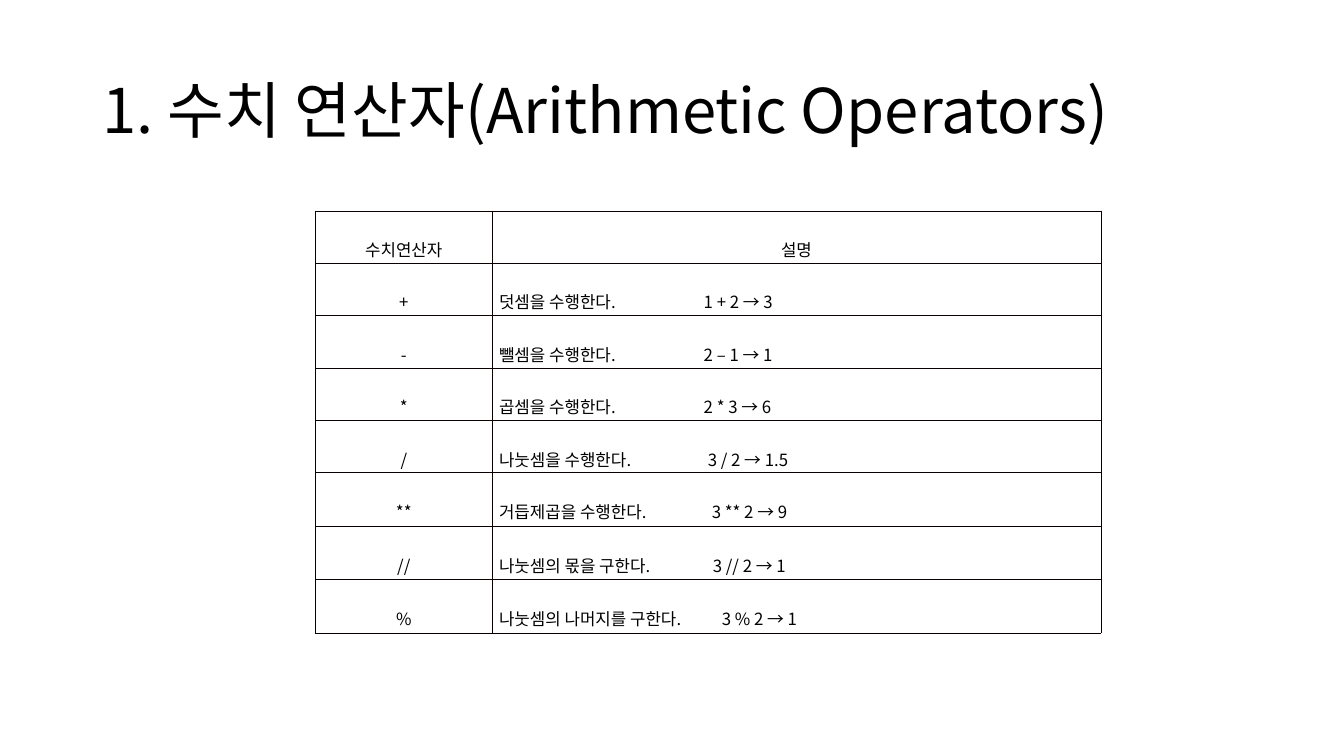
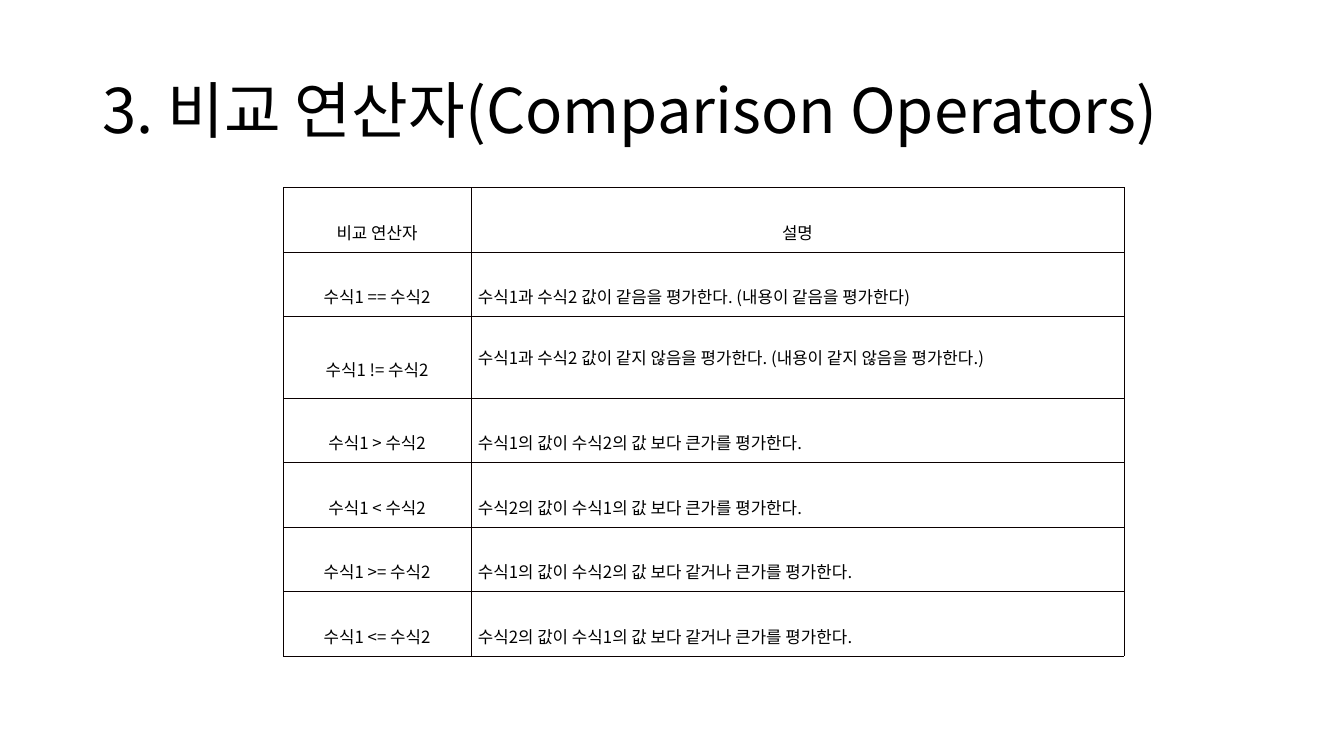
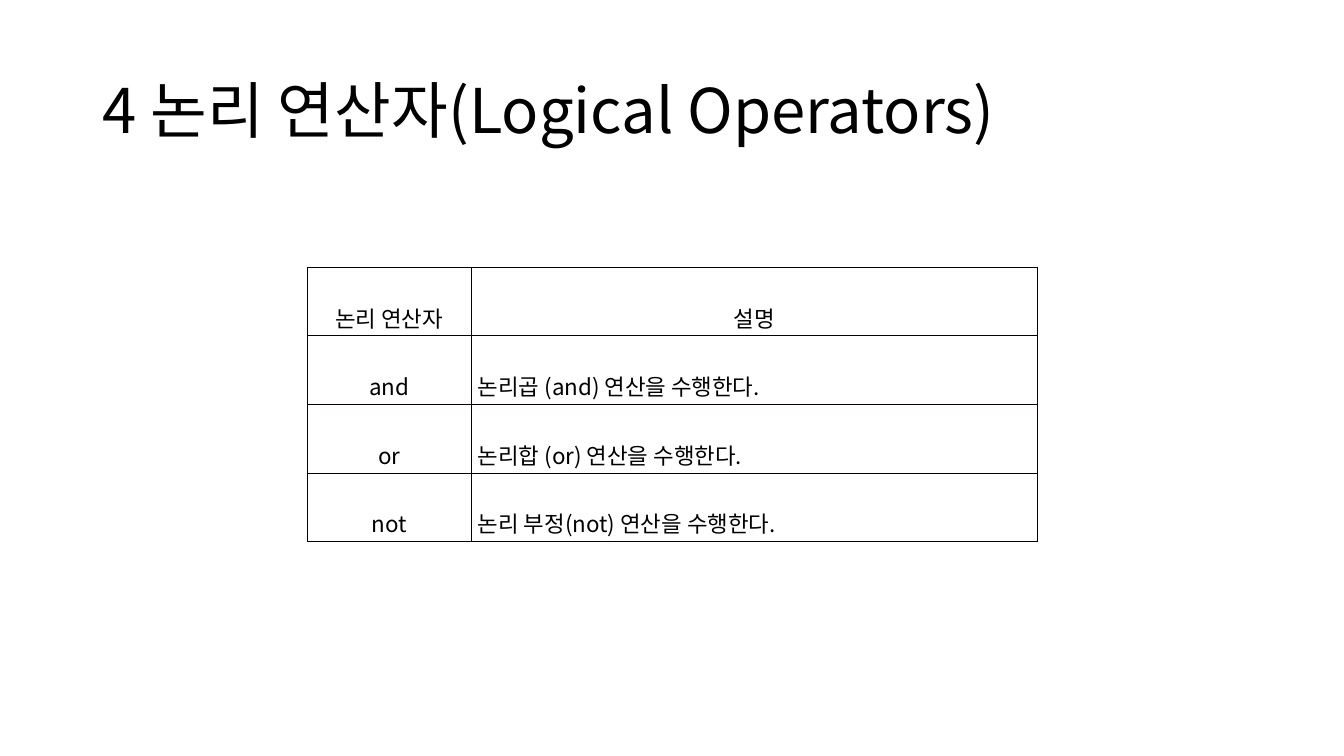
"""Build three slides that tabulate Python operators."""
from dataclasses import dataclass

from lxml import etree
from pptx import Presentation, util as u
from pptx.dml.color import RGBColor
from pptx.enum import text
from pptx.oxml import ns


@dataclass(frozen=True)
class Theme:
    """Colours, font and type sizes shared by the slides."""
    font: str = "Noto Sans CJK KR"
    ink: str = "000000"
    paper: str = "FFFFFF"
    rule: str = "0A0000"
    rule_width: float = 0.28
    title_size: int = 44
    table_size: int = 12
    large_table_size: int = 16


@dataclass(frozen=True)
class Entry:
    """One table row: operator, description and description layout."""
    operator: str
    description: str
    spacing: float = 2.0
    example_tab: float = 0.0


@dataclass(frozen=True)
class OperatorSlide:
    """Title and operator table of one slide."""
    title: str
    left: float
    top: float
    columns: tuple[float, float]
    row_heights: list[float]
    size: int
    entries: list[Entry]


THEME = Theme()
CENTER, JUSTIFY = text.PP_ALIGN.CENTER, text.PP_ALIGN.JUSTIFY
CELL_FORMAT = {
    "margin_left": u.Inches(0.07), "margin_right": u.Inches(0.07),
    "margin_top": u.Inches(0.02), "margin_bottom": u.Inches(0.02),
    "vertical_anchor": text.MSO_ANCHOR.MIDDLE,
}

SLIDES = [
    OperatorSlide(
        "1. 수치 연산자(Arithmetic Operators)", 3.13, 2.09, (1.75, 6.04),
        [0.52] * 5 + [0.53] * 3, THEME.table_size,
        [
            Entry("수치연산자", "설명"),
            Entry("+", "덧셈을 수행한다.\t1 + 2 → 3", example_tab=2.03),
            Entry("-", "뺄셈을 수행한다.\t2 – 1 → 1", example_tab=2.03),
            Entry("*", "곱셈을 수행한다.\t2 * 3 → 6", example_tab=2.03),
            Entry("/", "나눗셈을 수행한다.\t3 / 2 → 1.5", example_tab=2.07),
            Entry("**", "거듭제곱을 수행한다.\t3 ** 2 → 9", example_tab=2.11),
            Entry("//", "나눗셈의 몫을 구한다.\t3 // 2 → 1", example_tab=2.12),
            Entry("%", "나눗셈의 나머지를 구한다.\t3 % 2 → 1", example_tab=2.21),
        ],
    ),
    OperatorSlide(
        "3. 비교 연산자(Comparison Operators)", 2.81, 1.86, (1.86, 6.48),
        [0.64] * 2 + [0.81] + [0.64] * 4, THEME.table_size,
        [
            Entry("비교 연산자", "설명"),
            Entry("수식1 == 수식2", "수식1과 수식2 값이 같음을 평가한다. (내용이 같음을 평가한다)"),
            Entry("수식1 != 수식2",
                  "수식1과 수식2 값이 같지 않음을 평가한다. (내용이 같지 않음을 평가한다.)", spacing=1.0),
            Entry("수식1 > 수식2", "수식1의 값이 수식2의 값 보다 큰가를 평가한다."),
            Entry("수식1 < 수식2", "수식2의 값이 수식1의 값 보다 큰가를 평가한다."),
            Entry("수식1 >= 수식2", "수식1의 값이 수식2의 값 보다 같거나 큰가를 평가한다."),
            Entry("수식1 <= 수식2", "수식2의 값이 수식1의 값 보다 같거나 큰가를 평가한다."),
        ],
    ),
    OperatorSlide(
        "4 논리 연산자(Logical Operators)", 3.05, 2.65, (1.62, 5.62), [0.68] * 4,
        THEME.large_table_size,
        [
            Entry("논리 연산자", "설명"),
            Entry("and", "논리곱 (and) 연산을 수행한다."),
            Entry("or", "논리합 (or) 연산을 수행한다."),
            Entry("not", "논리 부정(not) 연산을 수행한다."),
        ],
    ),
]


def apply(target, values: dict) -> None:
    """Set each named attribute on the target."""
    for name, value in values.items():
        setattr(target, name, value)


def write(paragraph, wording: str, size: int, **layout) -> None:
    """Write one run in the theme font with the given paragraph layout."""
    apply(paragraph, layout)
    run = paragraph.add_run()
    run.text = wording
    apply(run.font, {"name": THEME.font, "size": u.Pt(size), "bold": False})
    run.font.color.rgb = RGBColor.from_string(THEME.ink)
    etree.SubElement(run.font._element, ns.qn("a:ea"), typeface=THEME.font)


def add_tab(paragraph, position: float) -> None:
    """Add a left tab stop to the paragraph."""
    stops = etree.SubElement(paragraph._p.get_or_add_pPr(), ns.qn("a:tabLst"))
    etree.SubElement(stops, ns.qn("a:tab"), pos=str(u.Inches(position)), algn="l")


def add_borders(cell) -> None:
    """Rule all four sides of the cell."""
    properties = cell._tc.get_or_add_tcPr()
    for side in ("lnL", "lnR", "lnT", "lnB"):
        line = etree.SubElement(properties, ns.qn(f"a:{side}"), w=str(u.Pt(THEME.rule_width)))
        fill = etree.SubElement(line, ns.qn("a:solidFill"))
        etree.SubElement(fill, ns.qn("a:srgbClr"), val=THEME.rule)


def add_title(slide, wording: str) -> None:
    """Place the slide title."""
    title = slide.shapes.add_textbox(
        u.Inches(0.92), u.Inches(0.4), u.Inches(11.5), u.Inches(1.45)).text_frame
    apply(title, {"word_wrap": True, "vertical_anchor": text.MSO_ANCHOR.MIDDLE})
    write(title.paragraphs[0], wording, THEME.title_size, line_spacing=0.9)


def fill_cell(cell, wording: str, size: int, alignment,
              spacing: float = 2.0, tab: float = 0.0) -> None:
    """Format a cell and write its text."""
    apply(cell, CELL_FORMAT)
    add_borders(cell)
    cell.fill.solid()
    cell.fill.fore_color.rgb = RGBColor.from_string(THEME.paper)
    paragraph = cell.text_frame.paragraphs[0]
    if tab:
        add_tab(paragraph, tab)
    write(paragraph, wording, size, alignment=alignment,
          line_spacing=spacing, space_after=u.Pt(10))


def add_operators(slide, content: OperatorSlide) -> None:
    """Place the operator table."""
    operators = slide.shapes.add_table(
        len(content.entries), len(content.columns),
        u.Inches(content.left), u.Inches(content.top),
        u.Inches(sum(content.columns)), u.Inches(sum(content.row_heights))).table
    apply(operators, {"first_row": False, "horz_banding": False})
    for column, width in zip(operators.columns, content.columns):
        column.width = u.Inches(width)
    for row, height in zip(operators.rows, content.row_heights):
        row.height = u.Inches(height)
    for r, entry in enumerate(content.entries):
        fill_cell(operators.cell(r, 0), entry.operator, content.size, CENTER)
        fill_cell(operators.cell(r, 1), entry.description, content.size,
                  JUSTIFY if r else CENTER, entry.spacing, entry.example_tab)


def main() -> None:
    """Build and save the presentation."""
    deck = Presentation()
    apply(deck, {"slide_width": u.Inches(13.33), "slide_height": u.Inches(7.5)})
    for content in SLIDES:
        slide = deck.slides.add_slide(deck.slide_layouts[6])
        add_title(slide, content.title)
        add_operators(slide, content)
    deck.save("out.pptx")


if __name__ == "__main__":
    main()
